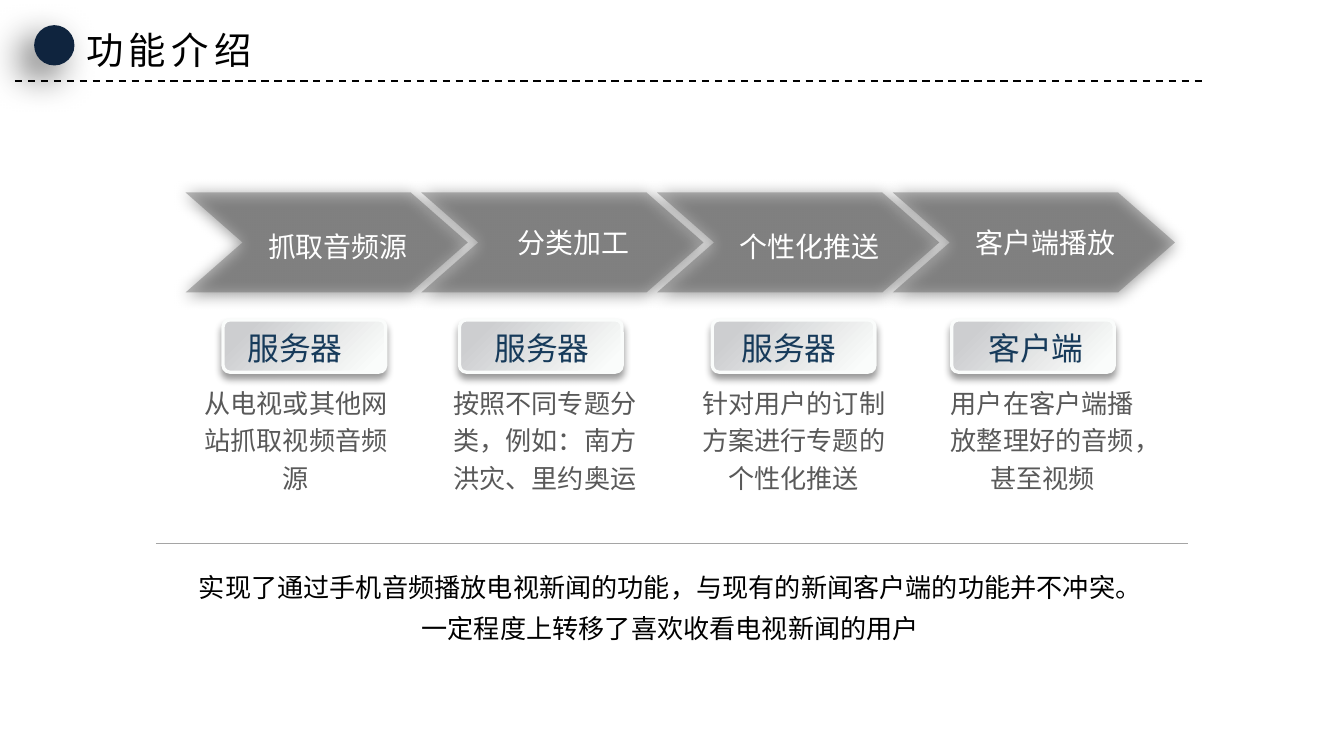
"""Build the feature overview slide with its four-step flow."""
import pptx
import pptx.util
import pptx.dml.color
import pptx.enum.dml
import pptx.enum.shapes
import pptx.enum.text
import pptx.oxml
import pptx.oxml.ns

TITLE = "功能介绍"
STEPS = [
    ("抓取音频源", 1.2, "服务器", 119.5, "从电视或其他网站抓取视频音频源"),
    ("分类加工", 1, "服务器", 246.2, "按照不同专题分类，例如：南方洪灾、里约奥运"),
    ("个性化推送", 1.2, "服务器", 381.6, "针对用户的订制方案进行专题的个性化推送"),
    ("客户端播放", 1, "客户端", 509.8, "用户在客户端播放整理好的音频，甚至视频"),
]
CLOSING = [
    "实现了通过手机音频播放电视新闻的功能，与现有的新闻客户端的功能并不冲突。",
    "一定程度上转移了喜欢收看电视新闻的用户",
]
COLORS = {
    "black": "000000", "white": "FFFFFF", "gray": "595959", "rule": "A5A5A5",
    "navy": "0F243E", "blue": "163A5A", "silver": "CDCED0", "pale": "FAFCFB",
}
FONT = "Noto Sans CJK SC"
TIGHT = (5, 2.5)
ROOMY = (7.2, 3.6)

Pt = pptx.util.Pt
KINDS = pptx.enum.shapes.MSO_SHAPE
ALIGN = pptx.enum.text.PP_ALIGN
ANCHOR = pptx.enum.text.MSO_ANCHOR
qn = pptx.oxml.ns.qn


def color(name):
    return pptx.dml.color.RGBColor.from_string(COLORS[name])


def add_node(parent, tag, **attrs):
    node = parent.makeelement(qn(tag), {k: str(v) for k, v in attrs.items()})
    parent.append(node)
    return node


def cast(shape, alpha, blur, dist, angle):
    shape.shadow.inherit = False
    effects = shape._element.spPr.find(qn("a:effectLst"))
    outer = add_node(effects, "a:outerShdw", blurRad=Pt(blur), dist=Pt(dist),
                     dir=angle * 60000, algn="ctr", rotWithShape=0)
    tint = add_node(outer, "a:srgbClr", val=COLORS["black"])
    add_node(tint, "a:alpha", val=alpha * 1000)


def write(shape, lines, size, tone, align=ALIGN.CENTER, anchor=ANCHOR.TOP,
          pad=TIGHT, gap=1, wrap=True, track=0):
    frame = shape.text_frame
    frame.text = "\n".join(lines)
    frame.word_wrap = wrap
    frame.auto_size = pptx.enum.text.MSO_AUTO_SIZE.NONE
    frame.vertical_anchor = anchor
    frame.margin_left = frame.margin_right = Pt(pad[0])
    frame.margin_top = frame.margin_bottom = Pt(pad[1])
    for para in frame.paragraphs:
        para.alignment = align
        para.line_spacing = gap
        for run in para.runs:
            run.font.size = Pt(size)
            run.font.name = FONT
            run.font.color.rgb = color(tone)
            props = run._r.get_or_add_rPr()
            add_node(props, "a:ea", typeface=FONT)
            if track:
                props.set("spc", str(track * 100))


def add_text(slide, box, lines, size, tone, **style):
    shape = slide.shapes.add_textbox(*map(Pt, box))
    write(shape, lines, size, tone, **style)


def add_rule(slide, left, right, y, tone, width, dash=None):
    kind = pptx.enum.shapes.MSO_CONNECTOR.STRAIGHT
    rule = slide.shapes.add_connector(kind, Pt(left), Pt(y), Pt(right), Pt(y))
    rule.line.color.rgb = color(tone)
    rule.line.width = Pt(width)
    if dash:
        rule.line.dash_style = dash
    add_node(rule._element.spPr, "a:effectLst")


def add_badge(slide, left):
    badge = slide.shapes.add_shape(KINDS.ROUNDED_RECTANGLE, Pt(left), Pt(171.4), Pt(87.1), Pt(28))
    badge.adjustments[0] = 0.13
    badge.fill.gradient()
    badge.fill.gradient_angle = 315
    for stop, place, tone in zip(badge.fill.gradient_stops, (0.15, 0.92), ("silver", "pale")):
        stop.position = place
        stop.color.rgb = color(tone)
    badge.line.color.rgb = color("pale")
    badge.line.width = Pt(1.75)
    cast(badge, 40, 4, 3, 90)


def add_arrow(slide, left):
    arrow = slide.shapes.add_shape(KINDS.CHEVRON, Pt(left), Pt(103.1), Pt(151.2), Pt(53.6))
    arrow.adjustments[0] = 0.57
    arrow.fill.solid()
    arrow.fill.fore_color.rgb = color("gray")
    tint = arrow._element.spPr.find(qn("a:solidFill"))[0]
    add_node(tint, "a:alpha", val=40000)
    arrow.line.fill.background()
    cast(arrow, 100, 8.5, 1, 90)


def main():
    deck = pptx.Presentation()
    deck.slide_width, deck.slide_height = Pt(720), Pt(405)
    slide = deck.slides.add_slide(deck.slide_layouts[5])

    title = slide.shapes.title
    title.left, title.top, title.width, title.height = map(Pt, (38.9, 10.8, 107.3, 31.7))
    write(title, [TITLE], 20, "black", align=ALIGN.LEFT, pad=ROOMY, wrap=False, track=3)

    add_rule(slide, 8, 646.5, 43.3, "black", 1, pptx.enum.dml.MSO_LINE.DASH)
    dot = slide.shapes.add_shape(KINDS.OVAL, Pt(18.3), Pt(13.5), Pt(21.6), Pt(21.6))
    dot.fill.solid()
    dot.fill.fore_color.rgb = color("navy")
    dot.line.fill.background()
    cast(dot, 60, 20, 10, 135)

    for i, (step, gap, role, edge, detail) in enumerate(STEPS):
        left = 99.4 + 126.3 * i
        add_arrow(slide, left)
        add_text(slide, (left + 18, 115.6, 127.4, 28.8), [step], 15, "white",
                 anchor=ANCHOR.MIDDLE, pad=ROOMY, gap=gap)
        add_badge(slide, edge)
        add_text(slide, (126.8 + 132.3 * i, 173.5, 62.6, 26), [role], 17, "blue", wrap=False)
        add_text(slide, (102.6 + 133.3 * i, 201.6, 112, 66.2), [detail], 14, "gray", gap=1.2)

    add_rule(slide, 83.5, 636.5, 290.9, "rule", 0.5)
    add_text(slide, (74.9, 298.8, 568.8, 49.7), CLOSING, 14, "black", gap=1.3)
    deck.save("out.pptx")


if __name__ == "__main__":
    main()
